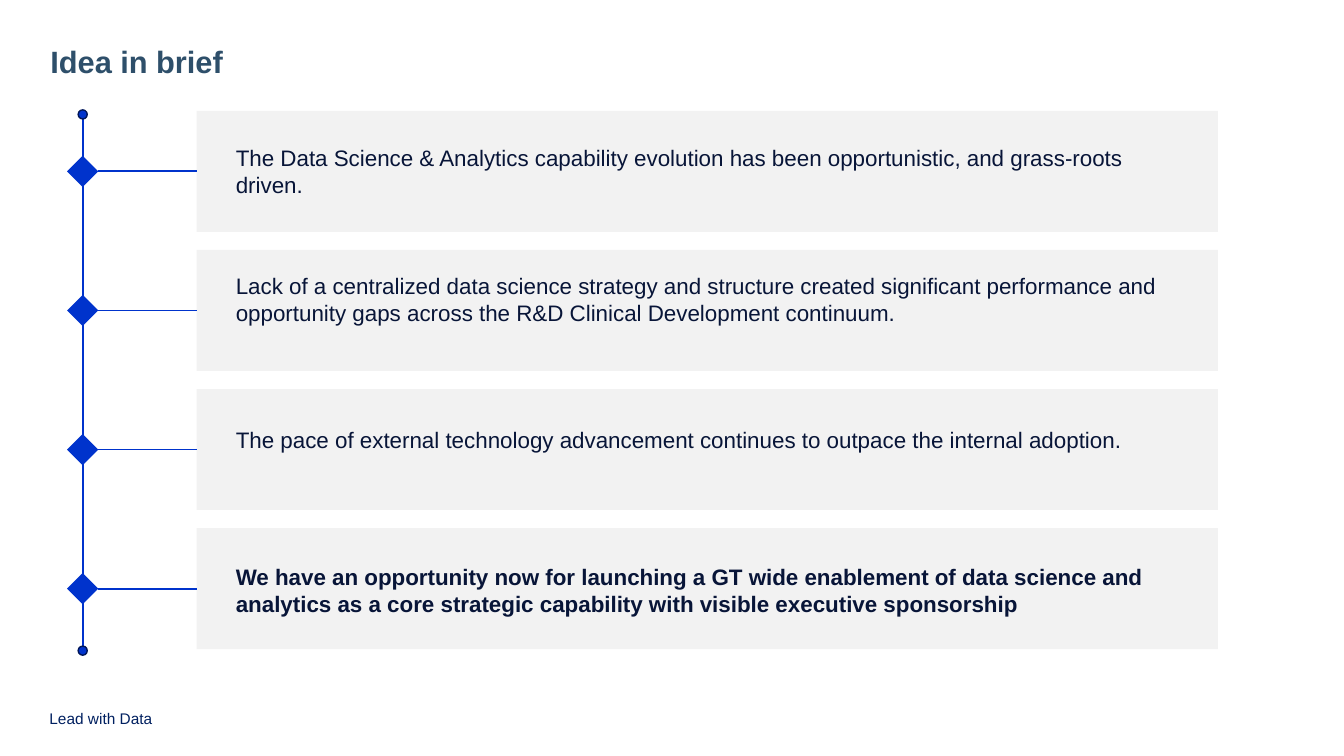
from dataclasses import dataclass

from lxml.etree import SubElement
from pptx import Presentation
from pptx.dml.color import RGBColor
from pptx.enum.shapes import MSO_CONNECTOR as Connector, MSO_SHAPE as Preset
from pptx.enum.text import MSO_ANCHOR as Anchor
from pptx.oxml.ns import qn
from pptx.util import Inches, Pt

BLUE = RGBColor(0x00, 0x33, 0xCC)
DOT_EDGE = RGBColor(0x00, 0x16, 0x59)
CARD_GREY = RGBColor(0xF2, 0xF2, 0xF2)
TITLE_BLUE = RGBColor(0x2E, 0x4F, 0x6A)
FOOTER_BLUE = RGBColor(0x00, 0x20, 0x60)
BODY_NAVY = RGBColor(0x08, 0x15, 0x38)

# Grid: square cells of a tenth of an inch, 133.3 columns by 75 rows
CELL = Inches(0.1)
COLUMNS, ROWS = 133.3, 75
CARD_LEFT, CARD_TOP, CARD_WIDTH, CARD_HEIGHT = 19.5, 11, 101.3, 12
CARD_PITCH = 13.8
TEXT_LEFT, TEXT_WIDTH = 22.4, 96.2
AXIS, AXIS_TOP, AXIS_BOTTOM = 8.2, 11.35, 64.55
DIAMOND, DOT = 3.1, 0.9


@dataclass(frozen=True)
class Message:
    text: str
    drop: float  # rows from the card's top to the text box
    height: float = 8.7
    bold: bool = False


MESSAGES = [
    Message("The Data Science & Analytics capability evolution has been "
            "opportunistic, and grass-roots driven.", 2.8),
    Message("Lack of a centralized data science strategy and structure created "
            "significant performance and opportunity gaps across the R&D "
            "Clinical Development continuum.", 1.7),
    Message("The pace of external technology advancement continues to outpace "
            "the internal adoption.", 3.2, height=6),
    Message("We have an opportunity now for launching a GT wide enablement of "
            "data science and analytics as a core strategic capability with "
            "visible executive sponsorship", 3, bold=True),
]


def cells(*counts: float) -> list[int]:
    return [round(count * CELL) for count in counts]


def add_text(slide, text: str, left: float, top: float, width: float,
             height: float, *, size: float, color: RGBColor, bold=False,
             anchor=Anchor.TOP, inset=True):
    box = slide.shapes.add_textbox(*cells(left, top, width, height))
    frame = box.text_frame
    frame.word_wrap = True
    frame.vertical_anchor = anchor
    if not inset:
        frame.margin_left = frame.margin_right = 0
        frame.margin_top = frame.margin_bottom = 0
    run = frame.paragraphs[0].add_run()
    run.text = text
    run.font.name = "Arial"
    run.font.size = Pt(size)
    run.font.bold = bold
    run.font.color.rgb = color
    return box


def add_filled(slide, preset, left: float, top: float, width: float,
               height: float, fill: RGBColor, edge: RGBColor | None = None):
    shape = slide.shapes.add_shape(preset, *cells(left, top, width, height))
    shape.shadow.inherit = False
    shape.fill.solid()
    shape.fill.fore_color.rgb = fill
    if edge is None:
        shape.line.fill.background()
    else:
        shape.line.color.rgb = edge
        shape.line.width = Pt(1)
    return shape


def add_centred(slide, preset, x: float, y: float, side: float,
                edge: RGBColor | None = None):
    return add_filled(slide, preset, x - side / 2, y - side / 2, side, side,
                      BLUE, edge)


def add_line(slide, x1: float, y1: float, x2: float, y2: float):
    line = slide.shapes.add_connector(Connector.STRAIGHT, *cells(x1, y1, x2, y2))
    line.line.color.rgb = BLUE
    line.line.width = Pt(1.25)
    SubElement(line._element.spPr, qn("a:effectLst"))
    return line


def add_message(slide, index: int, message: Message) -> None:
    top = CARD_TOP + index * CARD_PITCH
    middle = top + CARD_HEIGHT / 2
    card = add_filled(slide, Preset.RECTANGLE, CARD_LEFT, top, CARD_WIDTH,
                      CARD_HEIGHT, CARD_GREY)
    diamond = add_centred(slide, Preset.DIAMOND, AXIS, middle, DIAMOND)
    branch = add_line(slide, AXIS + DIAMOND / 2, middle, CARD_LEFT, middle)
    branch.begin_connect(diamond, 3)
    branch.end_connect(card, 1)
    add_text(slide, message.text, TEXT_LEFT, top + message.drop, TEXT_WIDTH,
             message.height, size=16, color=BODY_NAVY, bold=message.bold)


def main() -> None:
    presentation = Presentation()
    presentation.slide_width, presentation.slide_height = cells(COLUMNS, ROWS)
    slide = presentation.slides.add_slide(presentation.slide_layouts[6])

    # Title and footer
    add_text(slide, "Lead with Data", 4.9, 70, 17.6, 2.2, size=11,
             color=FOOTER_BLUE, anchor=Anchor.BOTTOM, inset=False)
    add_text(slide, "Idea in brief", 5, 3.9, 83.3, 4.3, size=22,
             color=TITLE_BLUE, bold=True, anchor=Anchor.MIDDLE, inset=False)

    # Timeline with its messages
    add_line(slide, AXIS, AXIS_TOP, AXIS, AXIS_BOTTOM)
    for index, message in enumerate(MESSAGES):
        add_message(slide, index, message)

    # End dots of the timeline
    for y in (AXIS_TOP, AXIS_BOTTOM):
        add_centred(slide, Preset.OVAL, AXIS, y, DOT, edge=DOT_EDGE)

    presentation.save("out.pptx")


if __name__ == "__main__":
    main()
